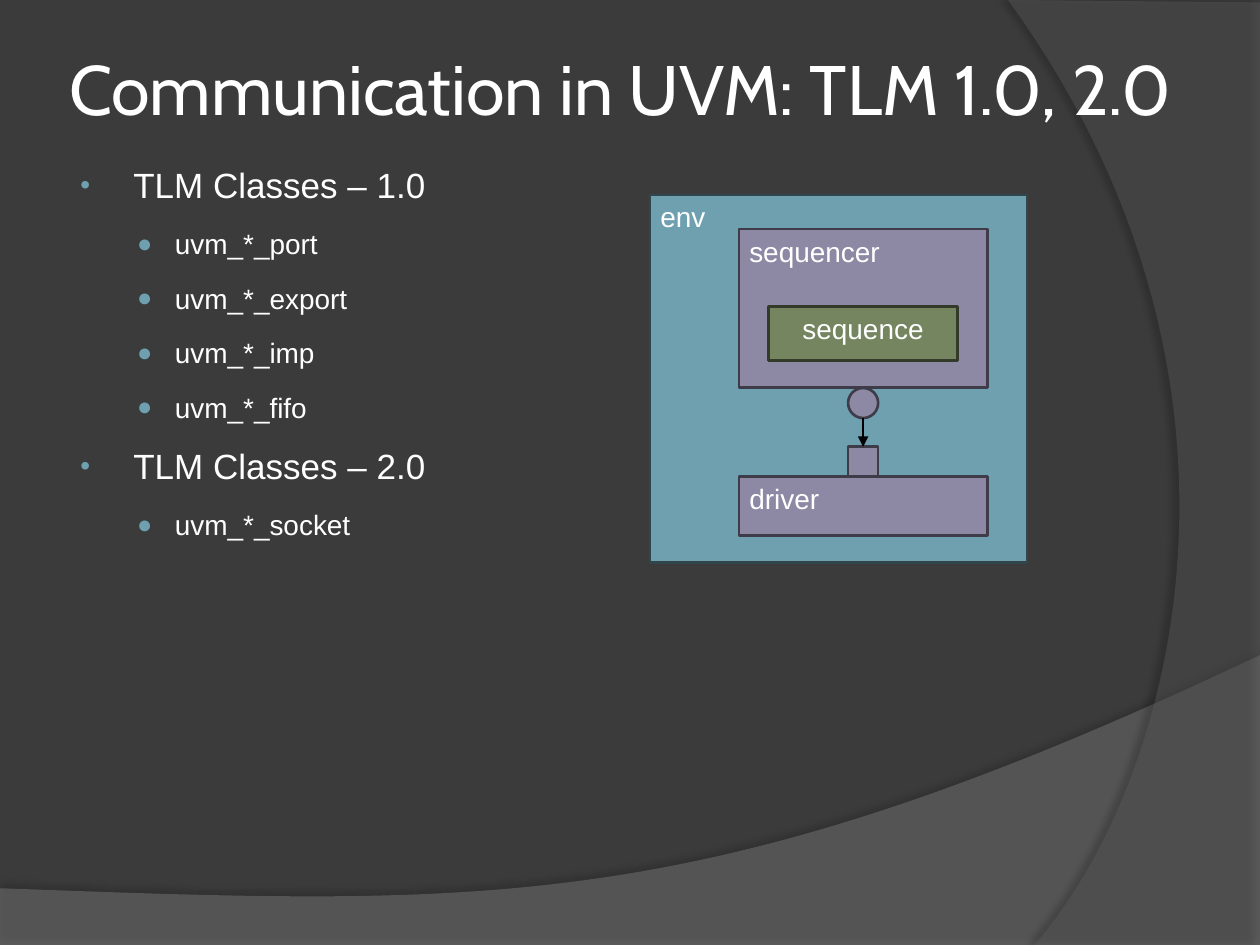
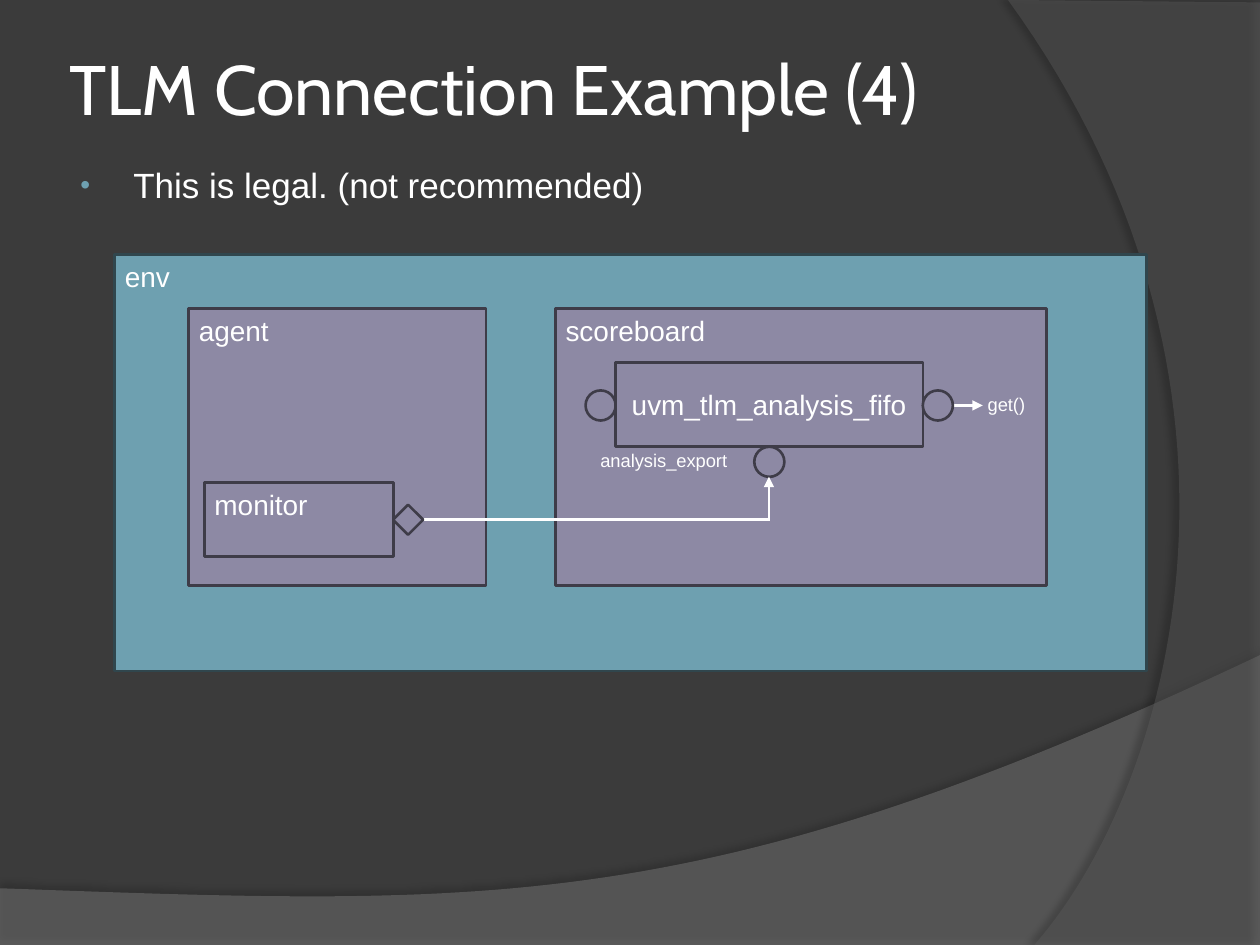
"""Build two slides on TLM communication in UVM."""
from dataclasses import dataclass
from typing import Optional

from lxml.etree import SubElement
from pptx import Presentation
from pptx.dml.color import RGBColor
from pptx.enum.shapes import MSO_CONNECTOR, MSO_SHAPE
from pptx.enum.text import MSO_ANCHOR, PP_ALIGN
from pptx.oxml.ns import qn
from pptx.slide import Slide
from pptx.text.text import TextFrame
from pptx.util import Pt

Point = tuple[float, float]
Area = tuple[float, float, float, float]


@dataclass(frozen=True)
class Paint:
    """Fill and outline of a component."""
    fill: str
    line: str


@dataclass(frozen=True)
class Theme:
    """Colours, fonts and sizes of the deck."""
    background: str = "3B3B3B"
    text: str = "FFFFFF"
    black: str = "000000"
    bullet: str = "6EA0B0"
    env: Paint = Paint("6EA0B0", "30464D")
    component: Paint = Paint("8D89A4", "3E3C48")
    sequence: Paint = Paint("748560", "333A2A")
    title_font: str = "Cabin"
    body_font: str = "Arial"
    title_size: float = 40
    topic_size: float = 20
    detail_size: float = 16
    note_size: float = 10.5
    stroke: float = 1.5


THEME = Theme()
PORT_SIZE = 17.2


@dataclass(frozen=True)
class Swoosh:
    """Translucent background outline with one curved edge."""
    corners: tuple[Point, ...]
    curve: tuple[Point, Point, Point]
    color: str
    alpha: int
    shadow_alpha: int
    shadow_distance: float
    shadow_angle: int


@dataclass(frozen=True)
class Level:
    """Bullet style of one outline level."""
    char: str
    percent: int
    margin: float
    indent: float
    size: float


@dataclass(frozen=True)
class Block:
    """Component of a verification environment."""
    area: Area
    label: str = ""
    paint: Paint = THEME.component
    kind: MSO_SHAPE = MSO_SHAPE.RECTANGLE
    align: PP_ALIGN = PP_ALIGN.LEFT
    anchor: MSO_ANCHOR = MSO_ANCHOR.TOP


@dataclass(frozen=True)
class Link:
    """Straight connection between ports."""
    start: Point
    end: Point
    color: str = THEME.text
    arrow: bool = True


@dataclass(frozen=True)
class Note:
    """Small caption beside a port."""
    area: Area
    text: str
    align: PP_ALIGN = PP_ALIGN.LEFT


@dataclass(frozen=True)
class Page:
    """Content of one slide."""
    title: str
    outline: tuple[tuple[int, str], ...]
    diagram: tuple[Block | Link | Note, ...]


SWOOSHES = (
    Swoosh(((0, 507.6), (0, 540.5), (720, 540.5), (720, 374.4)),
           ((402.5, 524.9), (281.5, 517.7), (0, 507.6)),
           "7F7F7F", 45, 35, 3.5, 270),
    Swoosh(((720, 1.4), (720, 540), (591.1, 540)),
           ((673.2, 445.7), (733, 216), (576, 0)),
           "5E5E5E", 40, 45, 4, 180),
)
LEVELS = (
    Level("•", 80, 33.1, -30.2, THEME.topic_size),
    Level("●", 90, 56.9, -21.6, THEME.detail_size),
)


def port(left: float, top: float, kind: MSO_SHAPE = MSO_SHAPE.OVAL) -> Block:
    """Return a port block of the common size."""
    return Block((left, top, PORT_SIZE, PORT_SIZE), kind=kind)


PAGES = (
    Page("Communication in UVM: TLM 1.0, 2.0",
         ((0, "TLM Classes – 1.0"), (1, "uvm_*_port"), (1, "uvm_*_export"),
          (1, "uvm_*_imp"), (1, "uvm_*_fifo"),
          (0, "TLM Classes – 2.0"), (1, "uvm_*_socket")),
         (Block((371.5, 111.4, 215.3, 210.2), "env", THEME.env),
          Block((422.4, 130.9, 141.8, 90.6), "sequencer"),
          Block((422.4, 272.2, 141.8, 34), "driver"),
          Block((439.2, 175, 108, 31), "sequence", THEME.sequence,
                align=PP_ALIGN.CENTER),
          port(484.6, 255.2, MSO_SHAPE.RECTANGLE),
          port(484.6, 221.7),
          Link((493.2, 239), (493.2, 255.4), THEME.black))),
    Page("TLM Connection Example (4)",
         ((0, "This is legal. (not recommended)"),),
         (Block((65.5, 145.6, 589.7, 238), "env", THEME.env),
          Block((107.8, 176.4, 170, 158.4), "agent"),
          Block((317.4, 176.4, 280.8, 158.4), "scoreboard"),
          Block((116.8, 275.7, 108, 42.4), "monitor"),
          Link((242, 296.8), (440, 296.8), arrow=False),
          Link((544.4, 231.7), (561.6, 231.7)),
          port(224.6, 288.4, MSO_SHAPE.DIAMOND),
          port(334.6, 223.1),
          Block((351.6, 207.2, 175.8, 48), "uvm_tlm_analysis_fifo",
                align=PP_ALIGN.CENTER, anchor=MSO_ANCHOR.MIDDLE),
          port(527.3, 223.1),
          port(431, 255.3),
          Note((326.9, 253.4, 95.8, 20.9), "analysis_export", PP_ALIGN.RIGHT),
          Link((439.4, 297.6), (439.4, 272.4)),
          Note((557.3, 221, 39.6, 20.9), "get()"))),
)


def rgb(color: str) -> RGBColor:
    """Return the colour for a hex value."""
    return RGBColor.from_string(color)


def lengths(area: Area) -> list[Pt]:
    """Return an area in slide units."""
    return [Pt(value) for value in area]


def write(frame: TextFrame, text: str, size: float, font: str = THEME.body_font,
          align: Optional[PP_ALIGN] = PP_ALIGN.LEFT) -> None:
    """Put one styled run in the last paragraph of a frame."""
    paragraph = frame.paragraphs[-1]
    paragraph.alignment = align
    run = paragraph.add_run()
    run.text = text
    run.font.name = font
    run.font.size = Pt(size)
    run.font.color.rgb = rgb(THEME.text)


def set_insets(frame: TextFrame, across: float, down: float) -> None:
    """Set the inner margins of a frame."""
    frame.margin_left = frame.margin_right = Pt(across)
    frame.margin_top = frame.margin_bottom = Pt(down)


def add_frame(slide: Slide, area: Area) -> TextFrame:
    """Add a wrapping text box and return its frame."""
    frame = slide.shapes.add_textbox(*lengths(area)).text_frame
    frame.word_wrap = True
    return frame


def bezier(points: tuple[Point, ...], steps: int = 60) -> list[Point]:
    """Sample a cubic curve after its first point."""
    weights = (1, 3, 3, 1)
    return [tuple(sum(weight * (1 - t) ** (3 - i) * t ** i * point[axis]
                      for i, (weight, point) in enumerate(zip(weights, points)))
                  for axis in (0, 1))
            for t in (step / steps for step in range(1, steps + 1))]


def add_swoosh(slide: Slide, swoosh: Swoosh) -> None:
    """Draw a translucent outline with a soft shadow."""
    outline = [*swoosh.corners, *bezier((swoosh.corners[-1], *swoosh.curve))]
    start, *rest = [(Pt(x), Pt(y)) for x, y in outline]
    builder = slide.shapes.build_freeform(*start)
    builder.add_line_segments(rest, close=True)
    shape = builder.convert_to_shape()
    shape.fill.solid()
    shape.fill.fore_color.rgb = rgb(swoosh.color)
    shape.line.fill.background()
    shape.shadow.inherit = False
    properties = shape.element.spPr
    color = properties.find(f"{qn('a:solidFill')}/{qn('a:srgbClr')}")
    SubElement(color, qn("a:alpha"), val=str(swoosh.alpha * 1000))
    shadow = SubElement(properties.find(qn("a:effectLst")), qn("a:outerShdw"),
                        blurRad=str(Pt(4)), dist=str(Pt(swoosh.shadow_distance)),
                        dir=str(swoosh.shadow_angle * 60000), rotWithShape="0")
    shade = SubElement(shadow, qn("a:srgbClr"), val=THEME.black)
    SubElement(shade, qn("a:alpha"), val=str(swoosh.shadow_alpha * 1000))


def add_title(slide: Slide, title: str) -> None:
    """Write the slide title."""
    frame = add_frame(slide, (36, 21.6, 648, 56.9))
    frame.vertical_anchor = MSO_ANCHOR.MIDDLE
    set_insets(frame, 3.6, 3.6)
    write(frame, title, THEME.title_size, THEME.title_font)


def add_outline(slide: Slide, outline: tuple[tuple[int, str], ...]) -> None:
    """Write the bulleted outline."""
    frame = add_frame(slide, (36, 90, 648, 406.8))
    for index, (depth, text) in enumerate(outline):
        paragraph = frame.add_paragraph() if index else frame.paragraphs[0]
        level = LEVELS[depth]
        paragraph.level = depth
        paragraph.space_before = Pt(12)
        properties = paragraph._p.get_or_add_pPr()
        properties.set("marL", str(Pt(level.margin)))
        properties.set("indent", str(Pt(level.indent)))
        color = SubElement(properties, qn("a:buClr"))
        SubElement(color, qn("a:srgbClr"), val=THEME.bullet)
        SubElement(properties, qn("a:buSzPct"), val=str(level.percent * 1000))
        SubElement(properties, qn("a:buFont"), typeface=THEME.body_font)
        SubElement(properties, qn("a:buChar"), char=level.char)
        write(frame, text, level.size)


def add_block(slide: Slide, block: Block) -> None:
    """Draw a component or port."""
    shape = slide.shapes.add_shape(block.kind, *lengths(block.area))
    shape.shadow.inherit = False
    shape.fill.solid()
    shape.fill.fore_color.rgb = rgb(block.paint.fill)
    shape.line.color.rgb = rgb(block.paint.line)
    shape.line.width = Pt(THEME.stroke)
    if block.label:
        frame = shape.text_frame
        frame.vertical_anchor = block.anchor
        set_insets(frame, 5.8, 2.9)
        write(frame, block.label, THEME.detail_size, align=block.align)


def add_link(slide: Slide, link: Link) -> None:
    """Draw a connection, with an arrowhead if asked."""
    connector = slide.shapes.add_connector(
        MSO_CONNECTOR.STRAIGHT, *lengths((*link.start, *link.end)))
    connector.line.color.rgb = rgb(link.color)
    connector.line.width = Pt(THEME.stroke)
    properties = connector.element.spPr
    if link.arrow:
        SubElement(properties.find(qn("a:ln")), qn("a:tailEnd"), type="triangle")
    SubElement(properties, qn("a:effectLst"))


def add_note(slide: Slide, note: Note) -> None:
    """Write a port caption."""
    write(add_frame(slide, note.area), note.text, THEME.note_size, align=note.align)


def main() -> None:
    """Build and save the deck."""
    deck = Presentation()
    deck.slide_width, deck.slide_height = Pt(720), Pt(540)
    draw = {Block: add_block, Link: add_link, Note: add_note}
    for page in PAGES:
        slide = deck.slides.add_slide(deck.slide_layouts[6])
        slide.background.fill.solid()
        slide.background.fill.fore_color.rgb = rgb(THEME.background)
        for swoosh in SWOOSHES:
            add_swoosh(slide, swoosh)
        add_title(slide, page.title)
        add_outline(slide, page.outline)
        for part in page.diagram:
            draw[type(part)](slide, part)
    deck.save("out.pptx")


if __name__ == "__main__":
    main()
